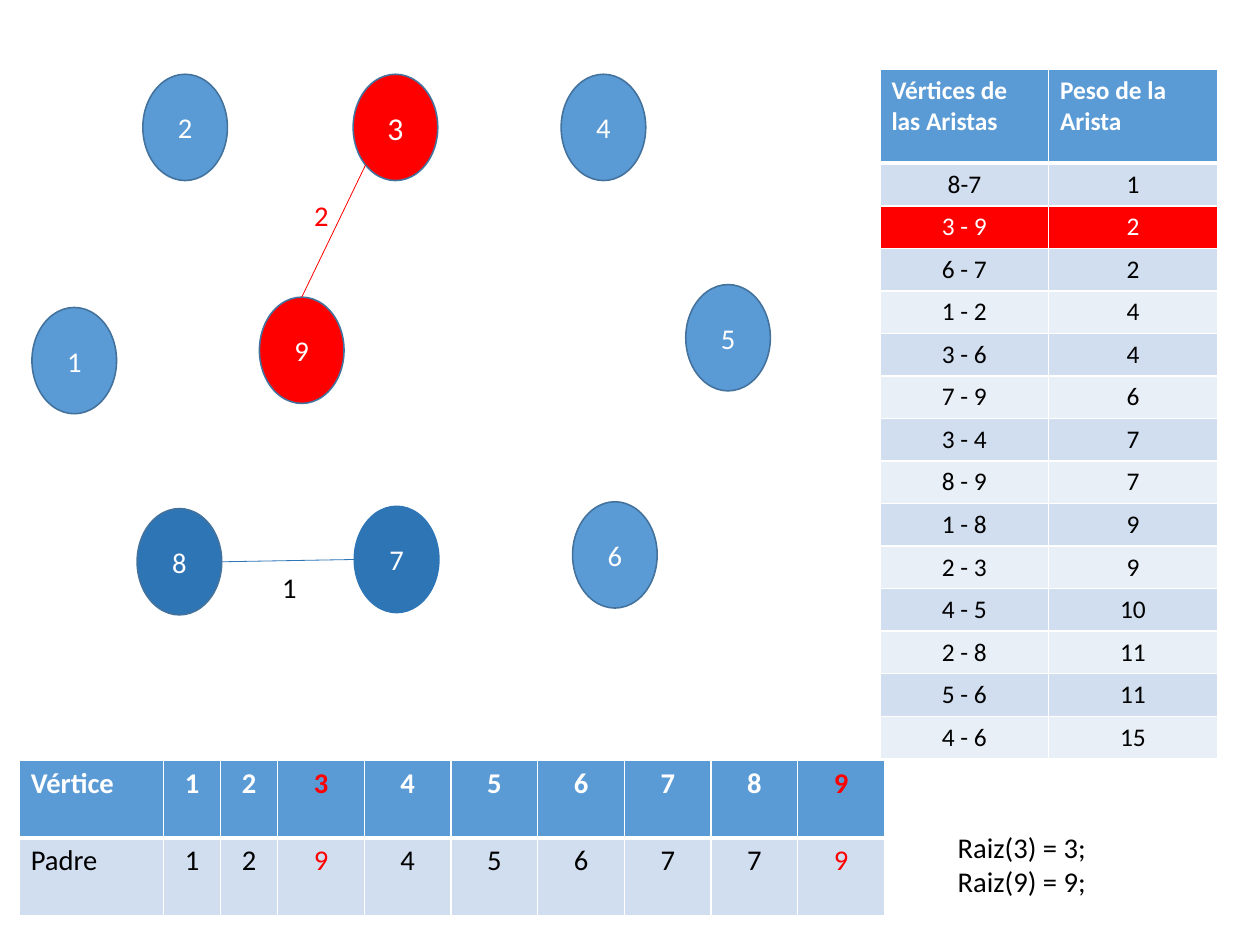
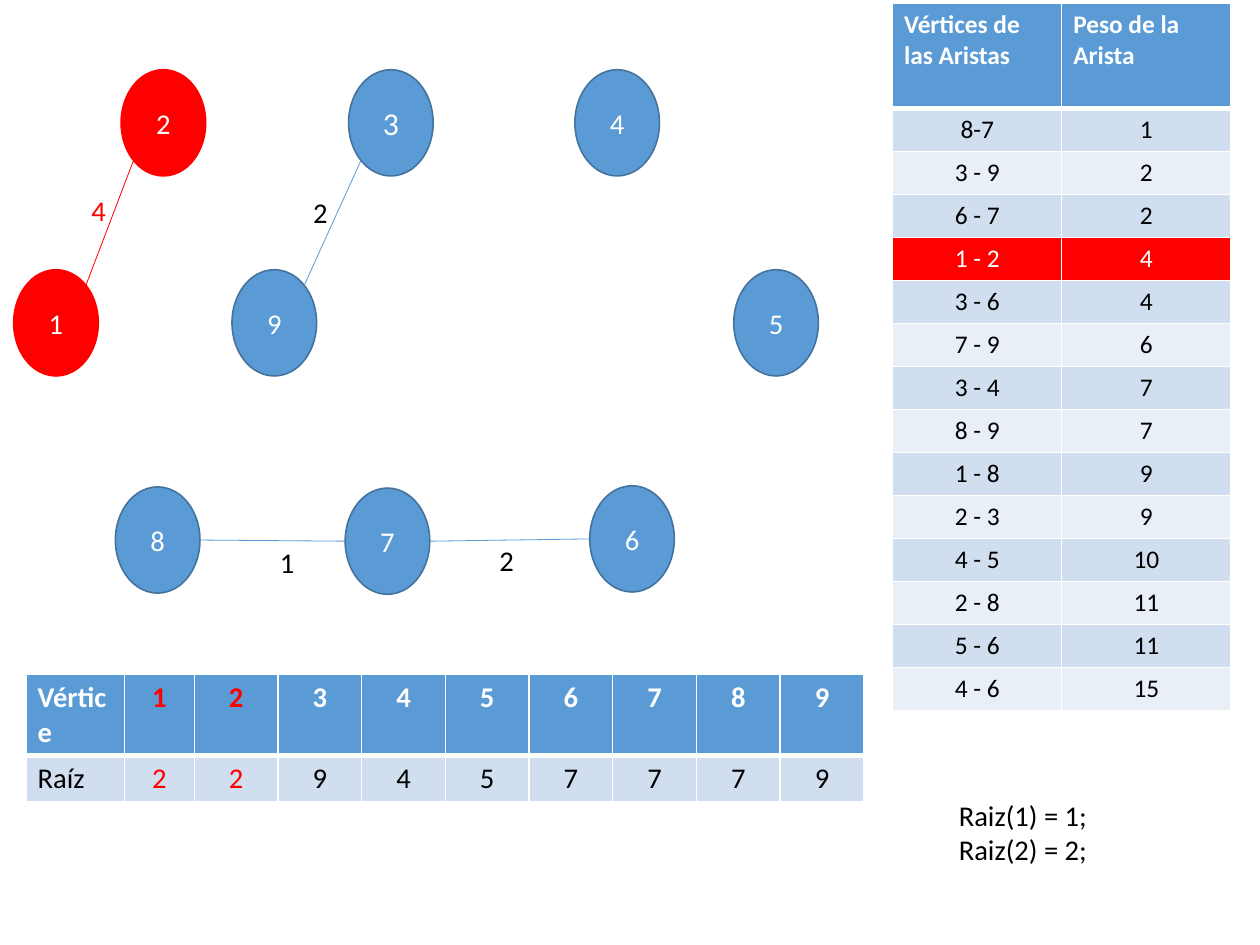
from math import cos, radians, sin

from lxml import etree
from pptx import Presentation
from pptx.dml.color import RGBColor
from pptx.enum.shapes import MSO_CONNECTOR, MSO_SHAPE
from pptx.enum.text import MSO_ANCHOR, MSO_AUTO_SIZE, PP_ALIGN
from pptx.oxml.ns import qn
from pptx.util import Cm, Inches, Pt

ELLIPSE = MSO_SHAPE.OVAL
STRAIGHT = MSO_CONNECTOR.STRAIGHT
CENTER, LEFT = PP_ALIGN.CENTER, PP_ALIGN.LEFT
MIDDLE = MSO_ANCHOR.MIDDLE
FIT_SHAPE = MSO_AUTO_SIZE.SHAPE_TO_FIT_TEXT

COLORS = {
    "blue": "5B9BD5",
    "outline": "43729D",
    "dark": "2E75B6",
    "red": "FF0000",
    "band": "D1DEEF",
    "pale": "E9EFF7",
    "white": "FFFFFF",
    "black": "000000",
}
FONT = "Calibri"
BLANK_LAYOUT = 6
NODE_WIDTH, NODE_HEIGHT = 0.74, 0.93
TOP, LOWER_LEFT, LEFT_SIDE, RIGHT_SIDE, UPPER_RIGHT = 0, 3, 2, 6, 7

PLAIN = ("blue", "outline")
JOINED = ("dark", "dark")
JOINED_OUTLINED = ("dark", "outline")
CHOSEN = ("red", "red")
CHOSEN_OUTLINED = ("red", "outline")

EDGE_HEADER = ("Vértices de las Aristas", "Peso de la Arista")
EDGES = [
    ("8-7", 1), ("3 - 9", 2), ("6 - 7", 2), ("1 - 2", 4), ("3 - 6", 4),
    ("7 - 9", 6), ("3 - 4", 7), ("8 - 9", 7), ("1 - 8", 9), ("2 - 3", 9),
    ("4 - 5", 10), ("2 - 8", 11), ("5 - 6", 11), ("4 - 6", 15),
]
VERTICES = range(1, 10)

STEPS = [
    {
        "graph": {
            "box": (0.28, 0.65),
            "nodes": {
                1: (0, 2.04, PLAIN),
                2: (0.97, 0, PLAIN),
                3: (2.81, 0, CHOSEN_OUTLINED),
                4: (4.63, 0, PLAIN),
                5: (5.72, 1.84, PLAIN),
                6: (4.73, 3.74, PLAIN),
                7: (2.82, 3.78, JOINED),
                8: (0.92, 3.8, JOINED_OUTLINED),
                9: (1.99, 1.95, CHOSEN_OUTLINED),
            },
            "links": [
                (8, RIGHT_SIDE, 7, LEFT_SIDE, "dark"),
                (3, LOWER_LEFT, 9, TOP, "red"),
            ],
            "weights": [(2, 2.37, 1.03, "red"), (1, 2.09, 4.29, "black")],
        },
        "edges": {"box": (7.7, 0.61, 2.95, 6.03), "header_height": 0.82,
                  "chosen": "3 - 9"},
        "parents": {"box": (0.17, 6.65, 7.57, 1.36), "name": "Padre",
                    "values": (1, 2, 9, 4, 5, 6, 7, 7, 9), "chosen": (3, 9),
                    "first_columns": [1.26, 0.5, 0.5], "header_height": 0.68},
        "roots": {"box": (8.28, 7.21), "vertices": (3, 9)},
    },
    {
        "graph": {
            "box": (0.12, 0.61),
            "nodes": {
                1: (0, 1.75, CHOSEN),
                2: (0.94, 0, CHOSEN),
                3: (2.93, 0, PLAIN),
                4: (4.91, 0, PLAIN),
                5: (6.3, 1.75, PLAIN),
                6: (5.04, 3.64, PLAIN),
                7: (2.9, 3.66, PLAIN),
                8: (0.89, 3.65, PLAIN),
                9: (1.91, 1.75, PLAIN),
            },
            "links": [
                (3, LOWER_LEFT, 9, UPPER_RIGHT, "blue"),
                (8, RIGHT_SIDE, 7, LEFT_SIDE, "blue"),
                (7, RIGHT_SIDE, 6, LEFT_SIDE, "blue"),
                (1, UPPER_RIGHT, 2, LOWER_LEFT, "red"),
            ],
            "weights": [(1, 2.23, 4.11, "black"), (2, 4.15, 4.09, "black"),
                        (2, 2.52, 1.05, "black"), (4, 0.58, 1.03, "red")],
        },
        "edges": {"box": (7.81, 0.03, 2.96, 6.19), "header_height": 0.92,
                  "chosen": "1 - 2"},
        "parents": {"box": (0.23, 5.9, 7.33, 1.11), "name": "Raíz",
                    "values": (2, 2, 9, 4, 5, 7, 7, 7, 9), "chosen": (1, 2),
                    "first_columns": [0.86, 0.61], "header_height": 0.71},
        "roots": {"box": (8.29, 6.93), "vertices": (1, 2)},
    },
]


def rgb(color):
    return RGBColor.from_string(COLORS[color])


def write_text(frame, *lines, size=18, color="black", bold=False, align=LEFT):
    for index, line in enumerate(lines):
        paragraph = frame.add_paragraph() if index else frame.paragraphs[0]
        paragraph.alignment = align
        run = paragraph.add_run()
        run.text = str(line)
        run.font.name = FONT
        run.font.size = Pt(size)
        run.font.bold = bold
        run.font.color.rgb = rgb(color)


def add_label(slide, left, top, width, height, *lines, color="black"):
    label = slide.shapes.add_textbox(*map(Inches, (left, top, width, height)))
    frame = label.text_frame
    frame.word_wrap = False
    frame.auto_size = FIT_SHAPE
    write_text(frame, *lines, color=color)


def add_node(slide, left, top, number, style):
    fill, outline = style
    node = slide.shapes.add_shape(
        ELLIPSE, *map(Inches, (left, top, NODE_WIDTH, NODE_HEIGHT)))
    node.shadow.inherit = False
    node.fill.solid()
    node.fill.fore_color.rgb = rgb(fill)
    node.line.color.rgb = rgb(outline)
    node.line.width = Pt(1)
    node.text_frame.vertical_anchor = MIDDLE
    write_text(node.text_frame, number, size=20 if number == 3 else 18,
               color="white", align=CENTER)
    return node


def site_point(node, site):
    angle = radians(90 + 45 * site)
    return (int(node.left + node.width / 2 * (1 + cos(angle))),
            int(node.top + node.height / 2 * (1 - sin(angle))))


def add_link(slide, start, start_site, end, end_site, color):
    link = slide.shapes.add_connector(
        STRAIGHT, *site_point(start, start_site), *site_point(end, end_site))
    link.line.color.rgb = rgb(color)
    link.line.width = Pt(0.5)
    etree.SubElement(link._element.spPr, qn("a:effectLst"))
    connection = link._element.nvCxnSpPr.cNvCxnSpPr
    for tag, node, site in (("a:stCxn", start, start_site),
                            ("a:endCxn", end, end_site)):
        etree.SubElement(connection, qn(tag), id=str(node.shape_id), idx=str(site))


def add_graph(slide, box, nodes, links, weights):
    left, top = box
    placed = {number: add_node(slide, left + x, top + y, number, style)
              for number, (x, y, style) in nodes.items()}
    for start, start_site, end, end_site, color in links:
        add_link(slide, placed[start], start_site, placed[end], end_site, color)
    for weight, x, y, color in weights:
        add_label(slide, left + x, top + y, 0.32, 0.4, weight, color=color)


def set_borders(cell, top_width, bottom_width):
    properties = cell._tc.get_or_add_tcPr()
    widths = {"a:lnL": 0.96, "a:lnR": 0.96, "a:lnT": top_width, "a:lnB": bottom_width}
    for tag, width in widths.items():
        border = etree.SubElement(properties, qn(tag), w=str(int(Pt(width))))
        fill = etree.SubElement(border, qn("a:solidFill"))
        etree.SubElement(fill, qn("a:srgbClr"), val=COLORS["white"])


def share_rest(total, first, count):
    rest = count - len(first)
    return first + [(total - sum(first)) / rest] * rest


def add_grid(slide, box, columns, heights):
    frame = slide.shapes.add_table(len(heights), len(columns), *map(Inches, box))
    table = frame.table
    table.horz_banding = False
    for column, width in zip(table.columns, columns):
        column.width = Inches(width)
    for row, height in zip(table.rows, heights):
        row.height = Inches(height)
    return table


def fill_cell(table, row, column, text, fill, **text_format):
    cell = table.cell(row, column)
    set_borders(cell, 3 if row == 1 else 0.96, 3 if row == 0 else 0.96)
    cell.fill.solid()
    cell.fill.fore_color.rgb = rgb(fill)
    write_text(cell.text_frame, text, bold=row == 0, **text_format)


def add_edge_table(slide, box, header_height, chosen):
    rows = [EDGE_HEADER] + EDGES
    width, height = box[2:]
    table = add_grid(slide, box, share_rest(width, [], len(EDGE_HEADER)),
                     share_rest(height, [header_height], len(rows)))
    for row, values in enumerate(rows):
        if row == 0:
            fill, color, align = "blue", "white", LEFT
        elif values[0] == chosen:
            fill, color, align = "red", "white", CENTER
        else:
            fill, color, align = "band" if row % 2 else "pale", "black", CENTER
        for column, value in enumerate(values):
            fill_cell(table, row, column, value, fill,
                      size=16, color=color, align=align)


def add_parent_table(slide, box, name, values, chosen, first_columns, header_height):
    rows = [("Vértice", *VERTICES), (name, *values)]
    styles = [("blue", "white"), ("band", "black")]
    width, height = box[2:]
    table = add_grid(slide, box, share_rest(width, first_columns, len(rows[0])),
                     share_rest(height, [header_height], len(rows)))
    for row, (texts, (fill, color)) in enumerate(zip(rows, styles)):
        for column, text in enumerate(texts):
            fill_cell(table, row, column, text, fill,
                      color="red" if column in chosen else color,
                      align=CENTER if column else LEFT)


def add_roots(slide, box, vertices):
    lines = [f"Raiz({vertex}) = {vertex};" for vertex in vertices]
    add_label(slide, *box, 1.32, 0.7, *lines)


def add_step_slide(presentation, step):
    slide = presentation.slides.add_slide(presentation.slide_layouts[BLANK_LAYOUT])
    add_edge_table(slide, **step["edges"])
    add_graph(slide, **step["graph"])
    add_parent_table(slide, **step["parents"])
    add_roots(slide, **step["roots"])


def main():
    presentation = Presentation()
    presentation.slide_width = Cm(28)
    presentation.slide_height = Cm(21)
    for step in STEPS:
        add_step_slide(presentation, step)
    presentation.save("out.pptx")


if __name__ == "__main__":
    main()
